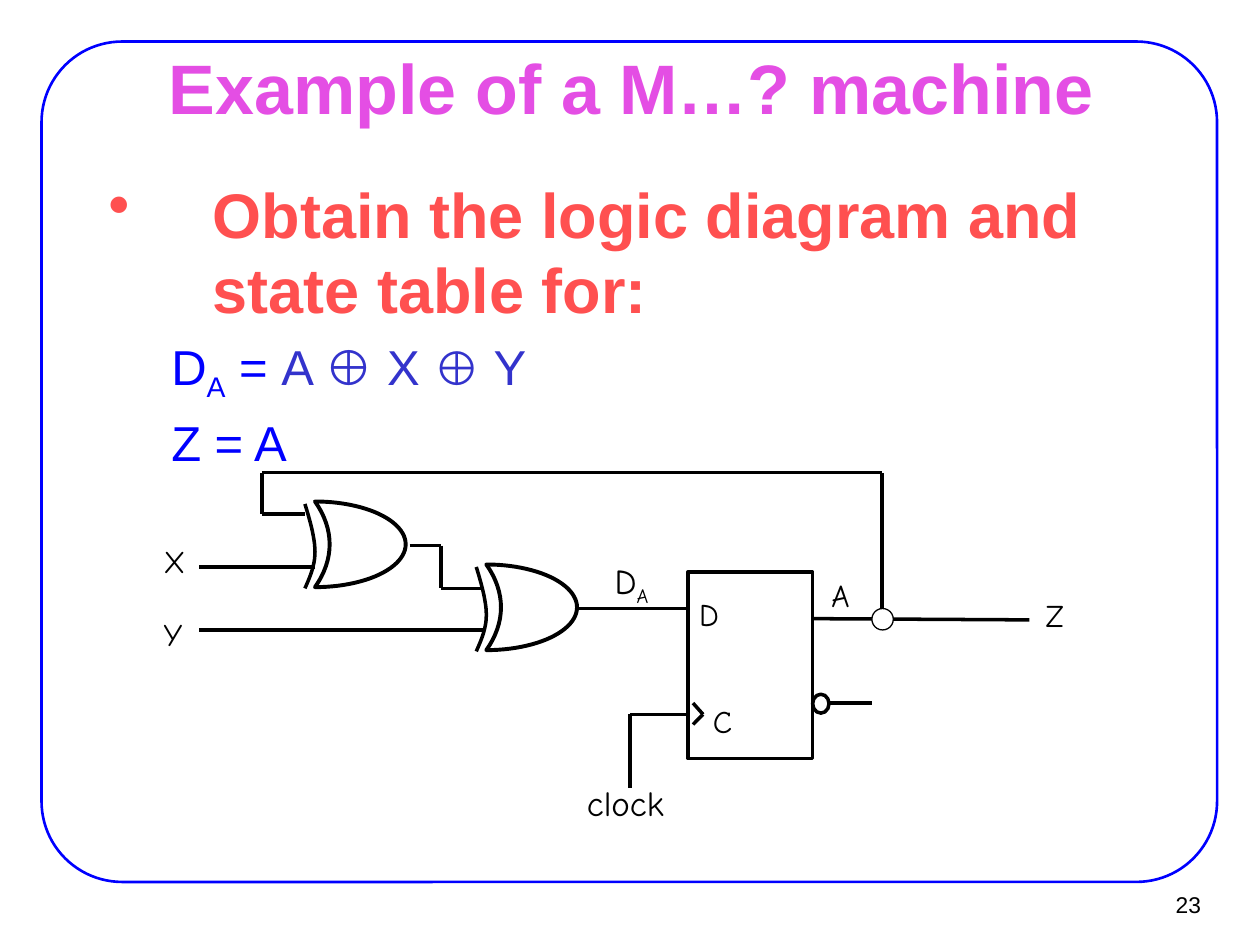
from lxml import etree
from pptx import Presentation
from pptx.dml.color import RGBColor
from pptx.enum.shapes import MSO_CONNECTOR, MSO_SHAPE
from pptx.enum.text import MSO_ANCHOR, MSO_AUTO_SIZE, PP_ALIGN
from pptx.oxml.ns import qn
from pptx.util import Inches, Pt

BLACK = RGBColor(0, 0, 0)
WHITE = RGBColor(255, 255, 255)
BLUE = RGBColor(0, 0, 255)
NAVY = RGBColor(0x33, 0x33, 0xCC)
PINK = RGBColor(0xE4, 0x4E, 0xE4)
RED = RGBColor(0xFF, 0x50, 0x50)
LINE = MSO_CONNECTOR.STRAIGHT
ROUND = MSO_SHAPE.ROUNDED_RECTANGLE
RECT = MSO_SHAPE.RECTANGLE
OVAL = MSO_SHAPE.OVAL
MOON = MSO_SHAPE.MOON
MIDDLE = MSO_ANCHOR.MIDDLE
FIT = MSO_AUTO_SIZE.SHAPE_TO_FIT_TEXT
SANS, HAND, SERIF = "Arial", "Comic Neue", "Times New Roman"

prs = Presentation()
prs.slide_width, prs.slide_height = Inches(10), Inches(7.5)
slide = prs.slides.add_slide(prs.slide_layouts[5])


def write(para, text, size, color, font=SANS, bold=False, sub=False):
    run = para.add_run()
    run.text = text
    run.font.size = Pt(size)
    run.font.name = font
    run.font.bold = bold
    run.font.color.rgb = color
    if sub:
        run._r.get_or_add_rPr().set("baseline", "-25000")


def style(shape, width, color=BLACK, fill=None):
    shape.shadow.inherit = False
    shape.line.color.rgb = color
    shape.line.width = Pt(width)
    if fill is None:
        shape.fill.background()
    else:
        shape.fill.solid()
        shape.fill.fore_color.rgb = fill


frame = slide.shapes.add_shape(
    ROUND, *map(Inches, (0.33, 0.33, 9.33, 6.67)))
frame.adjustments[0] = 0.096
style(frame, 1.5, BLUE)

title = slide.shapes.title
title.left, title.top, title.width, title.height = map(
    Inches, (0.76, 0.44, 8.5, 0.49))
body = slide.shapes.add_textbox(*map(Inches, (0.75, 1.33, 8.5, 5.49)))
for box in (title, body):
    text = box.text_frame
    text.word_wrap = True
    text.auto_size = MSO_AUTO_SIZE.NONE
    text.margin_left = text.margin_right = Inches(0.11)
    text.margin_top = text.margin_bottom = Inches(0.06)
title.text_frame.vertical_anchor = MIDDLE
head = title.text_frame.paragraphs[0]
head.alignment = PP_ALIGN.CENTER
write(head, "Example of a M…? machine", 40, PINK, bold=True)

text = body.text_frame
task, input_eq, output_eq = (
    text.paragraphs[0], text.add_paragraph(), text.add_paragraph())
for para, left, first, gap in ((task, 0.83, -0.83, 7.2),
                               (input_eq, 0.81, -0.31, 5.6),
                               (output_eq, 0.81, -0.31, 5.6)):
    para.space_before = Pt(gap)
    props = para._p.get_or_add_pPr()
    props.set("marL", str(Inches(left)))
    props.set("indent", str(Inches(first)))
    if para is task:
        etree.SubElement(props, qn("a:buChar")).set("char", "•")
    else:
        para.level = 1
        etree.SubElement(props, qn("a:buNone"))
write(task, "Obtain the logic diagram and state table for:", 36, RED,
      bold=True)
write(input_eq, "D", 28, BLUE)
write(input_eq, "A", 28, BLUE, sub=True)
write(input_eq, " = ", 28, BLUE)
write(input_eq, "A ⊕ X ", 28, NAVY)
write(input_eq, "⊕", 27, NAVY, SERIF)
write(input_eq, " Y", 28, NAVY)
write(output_eq, "Z = A ", 28, BLUE)

page = slide.shapes.add_textbox(*map(Inches, (9.02, 6.99, 0.61, 0.37)))
page.text_frame.word_wrap = False
page.text_frame.vertical_anchor = MIDDLE
number = page.text_frame.paragraphs[0]
number.alignment = PP_ALIGN.RIGHT
write(number, "23", 13, BLACK)

circuit = slide.shapes.add_group_shape().shapes

for left, top in ((2.42, 3.98), (3.78, 4.48)):
    gate = circuit.add_shape(
        MOON, *map(Inches, (left + 0.08, top, 0.72, 0.68)))
    gate.adjustments[0] = 0.838
    gate._element.spPr.find(qn("a:xfrm")).set("flipH", "1")
    style(gate, 2.25)
    arc = []
    for a, b, c, d in (
            ((0, 0), (0.04, 0.13), (0.08, 0.27), (0.08, 0.38)),
            ((0.08, 0.38), (0.08, 0.49), (0.04, 0.58), (0, 0.67))):
        for step in range(13):
            t = step / 12
            u = 1 - t
            x, y = (u**3 * p + 3 * u * u * t * q + 3 * u * t * t * r
                    + t**3 * s for p, q, r, s in zip(a, b, c, d))
            arc.append((Inches(left + x), Inches(top + 0.02 + y)))
    pen = circuit.build_freeform(*arc[0])
    pen.add_line_segments(arc[1:], close=False)
    style(pen.convert_to_shape(), 2)

flop = circuit.add_shape(RECT, *map(Inches, (5.46, 4.54, 0.99, 1.48)))
style(flop, 2)

wires = (
    ((2.5, 4.5), (1.58, 4.5)),
    ((3.83, 5), (1.58, 5)),
    ((3.25, 4.33), (3.5, 4.33), (3.5, 4.67), (3.83, 4.67)),
    ((4.58, 4.83), (5.46, 4.83)),
    ((5, 6.25), (5, 5.67), (5.46, 5.67)),
    ((5.5, 5.58), (5.58, 5.67), (5.5, 5.75)),
    ((6.59, 5.58), (6.92, 5.58)),
    ((6.45, 4.91), (8.17, 4.92)),
    ((7, 4.92), (7, 3.75), (2.08, 3.75), (2.08, 4.08), (2.42, 4.08)),
)
for wire in wires:
    for start, end in zip(wire, wire[1:]):
        part = circuit.add_connector(LINE, *map(Inches, start + end))
        part.line.color.rgb = BLACK
        part.line.width = Pt(2)
        etree.SubElement(part._element.spPr, qn("a:effectLst"))

for spot, width, fill in (((6.45, 5.51, 0.13, 0.15), 2, None),
                          ((6.92, 4.83, 0.17, 0.17), 0.75, WHITE)):
    style(circuit.add_shape(OVAL, *map(Inches, spot)), width, fill=fill)

labels = (
    ("D", "", 18, 5.45, 4.67, 0.38),
    ("C", "", 18, 5.56, 5.52, 0.35),
    ("clock", "", 20, 4.56, 6.15, 0.86),
    ("X", "", 18, 1.2, 4.25, 0.38),
    ("Y", "", 18, 1.2, 4.83, 0.36),
    ("A", "", 18, 6.5, 4.52, 0.38),
    ("Z", "", 18, 8.2, 4.68, 0.38),
    ("D", "A", 20, 4.78, 4.39, 0.53),
)
for name, index, size, left, top, width in labels:
    high = 0.45 if size == 18 else 0.49
    label = circuit.add_textbox(*map(Inches, (left, top, width, high)))
    label.text_frame.word_wrap = False
    label.text_frame.auto_size = FIT
    para = label.text_frame.paragraphs[0]
    write(para, name, size, BLACK, HAND)
    if index:
        write(para, index, size, BLACK, HAND, sub=True)

prs.save("out.pptx")
